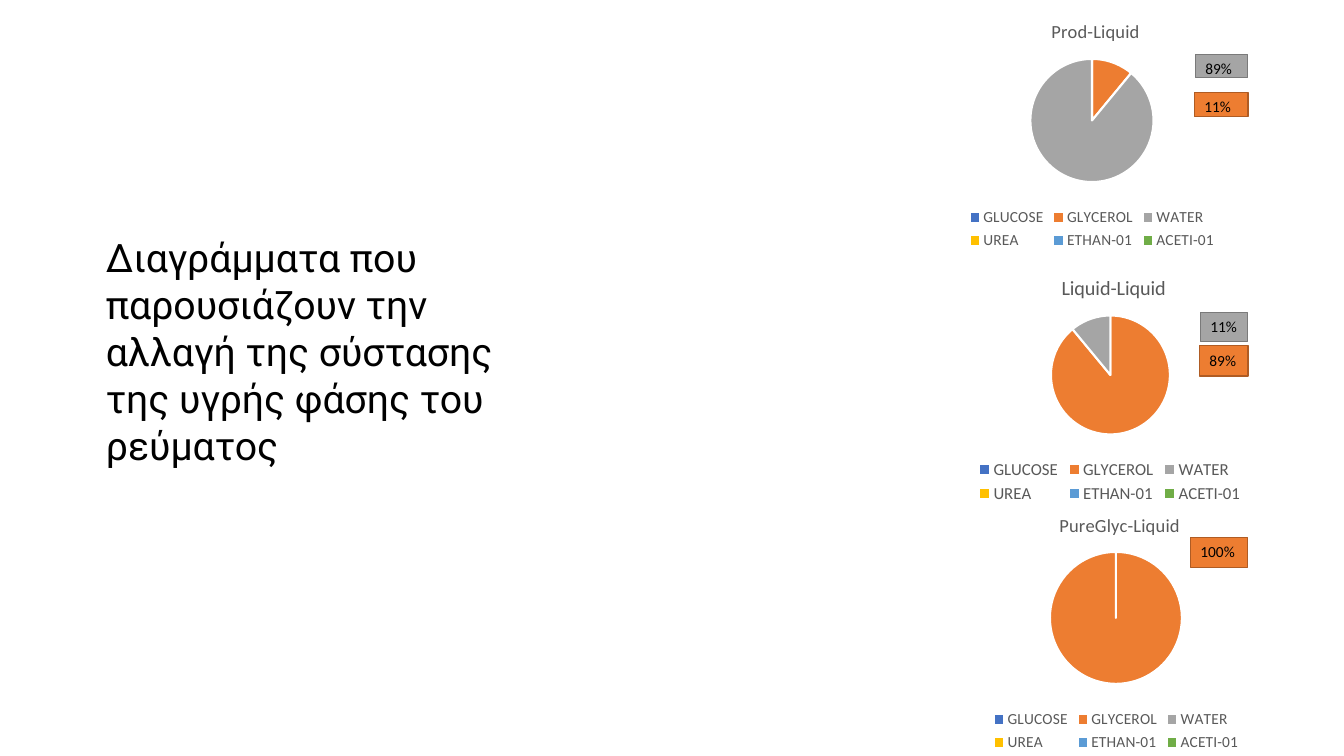
from lxml.etree import SubElement
from pptx import Presentation
from pptx.chart.data import CategoryChartData
from pptx.dml.color import RGBColor
from pptx.enum.chart import XL_CHART_TYPE, XL_LEGEND_POSITION
from pptx.enum.shapes import MSO_SHAPE
from pptx.enum.text import MSO_ANCHOR, MSO_AUTO_SIZE, PP_ALIGN
from pptx.oxml.ns import qn
from pptx.util import Pt

HUES = {
    "GLUCOSE": "4472C4",
    "GLYCEROL": "ED7D31",
    "WATER": "A5A5A5",
    "UREA": "FFC000",
    "ETHAN-01": "5B9BD5",
    "ACETI-01": "70AD47",
    "black": "000000",
    "grey": "595959",
    "white": "FFFFFF",
}
EDGES = {"GLYCEROL": "AF5C24", "WATER": "7A7A7A"}
PARTS = list(HUES)[:6]


def write(frame, text, size=11, font="Calibri", hue="black", align=PP_ALIGN.LEFT):
    para = frame.paragraphs[0]
    para.alignment = align
    run = para.add_run()
    run.text = text
    run.font.size = Pt(size)
    run.font.name = font
    run.font.bold = False
    run.font.color.rgb = RGBColor.from_string(HUES[hue])


def place(node, spot, **marks):
    for old in node.findall(qn("c:layout")):
        node.remove(old)
    layout = SubElement(node, qn("c:layout"))
    manual = SubElement(layout, qn("c:manualLayout"))
    for tag, value in marks.items():
        SubElement(manual, qn("c:" + tag)).set("val", str(value))
    node.insert(spot, layout)


class Deck:
    def __init__(self):
        self.file = Presentation()
        self.file.slide_width, self.file.slide_height = Pt(960), Pt(540)
        self.slide = self.file.slides.add_slide(self.file.slide_layouts[5])

    def title(self, text, box):
        shape = self.slide.shapes.title
        shape.left, shape.top, shape.width, shape.height = map(Pt, box)
        frame = shape.text_frame
        frame.word_wrap = True
        frame.auto_size = MSO_AUTO_SIZE.SHAPE_TO_FIT_TEXT
        frame.vertical_anchor = MSO_ANCHOR.TOP
        write(frame, text, size=28, font="Roboto")

    def pie(self, name, values, box, size, head, disc):
        data = CategoryChartData()
        data.categories = PARTS
        data.add_series("Series 1", values)
        chart = self.slide.shapes.add_chart(XL_CHART_TYPE.PIE, *map(Pt, box), data).chart
        chart.font.size, chart.font.name = Pt(size), "Calibri"
        chart.has_title = True
        write(chart.chart_title.text_frame, name, size=size * 1.2, hue="grey",
              align=PP_ALIGN.CENTER)

        left, top, width, height = box
        place(chart.chart_title.element, 1, xMode="edge", yMode="edge",
              x=(head[0] - left) / width, y=(head[1] - top) / height)
        x, y, span = disc
        area = chart.element.find(qn("c:chart")).find(qn("c:plotArea"))
        place(area, 0, layoutTarget="inner", xMode="edge", yMode="edge",
              x=(x - span / 2 - left) / width, y=(y - span / 2 - top) / height,
              w=span / width, h=span / height)

        chart.has_legend = True
        legend = chart.legend
        legend.position = XL_LEGEND_POSITION.BOTTOM
        legend.include_in_layout = False
        legend.font.size, legend.font.name = Pt(size), "Calibri"
        legend.font.color.rgb = RGBColor.from_string(HUES["grey"])
        plot = chart.plots[0]
        plot.vary_by_categories = True
        for index, part in enumerate(PARTS):
            style = plot.series[0].points[index].format
            style.fill.solid()
            style.fill.fore_color.rgb = RGBColor.from_string(HUES[part])
            style.line.color.rgb = RGBColor.from_string(HUES["white"])
            style.line.width = Pt(1.5)

    def tag(self, text, part, box):
        shape = self.slide.shapes.add_shape(MSO_SHAPE.RECTANGLE, *map(Pt, box))
        shape.shadow.inherit = False
        shape.fill.solid()
        shape.fill.fore_color.rgb = RGBColor.from_string(HUES[part])
        shape.line.color.rgb = RGBColor.from_string(EDGES[part])
        shape.line.width = Pt(1)
        shape.text_frame.word_wrap = True
        shape.text_frame.vertical_anchor = MSO_ANCHOR.TOP
        write(shape.text_frame, text)


def main():
    deck = Deck()
    deck.title("Διαγράμματα που παρουσιάζουν την αλλαγή της σύστασης "
               "της υγρής φάσης του ρεύματος", (68.4, 162.7, 337, 143.3))
    pies = [
        ("Liquid-Liquid", (0, 89, 11, 0, 0, 0), (643, 181.4, 299.5, 181.4), 12,
         (755.7, 193), (793.2, 267.9, 85)),
        ("Prod-Liquid", (0, 11, 89, 0, 0, None), (617, 0, 326.2, 181.4), 11,
         (748.6, 11), (780, 86.1, 88)),
        ("PureGlyc-Liquid", (0, 100, 0, 0, 0, 0), (634.3, 352.1, 326.2, 187.9), 11,
         (754.3, 364), (797.1, 441.4, 94.3)),
    ]
    for pie in pies:
        deck.pie(*pie)
    tags = [
        ("89%", "WATER", (853.9, 38.9, 37.4, 16.6)),
        ("11%", "GLYCEROL", (853.2, 66.2, 38.2, 17.3)),
        ("11%", "WATER", (857.5, 223.2, 33.8, 20.9)),
        ("89%", "GLYCEROL", (856.8, 247, 34.6, 21.6)),
        ("100%", "GLYCEROL", (850.3, 383.8, 41, 21.6)),
    ]
    for tag in tags:
        deck.tag(*tag)
    deck.file.save("out.pptx")


if __name__ == "__main__":
    main()
